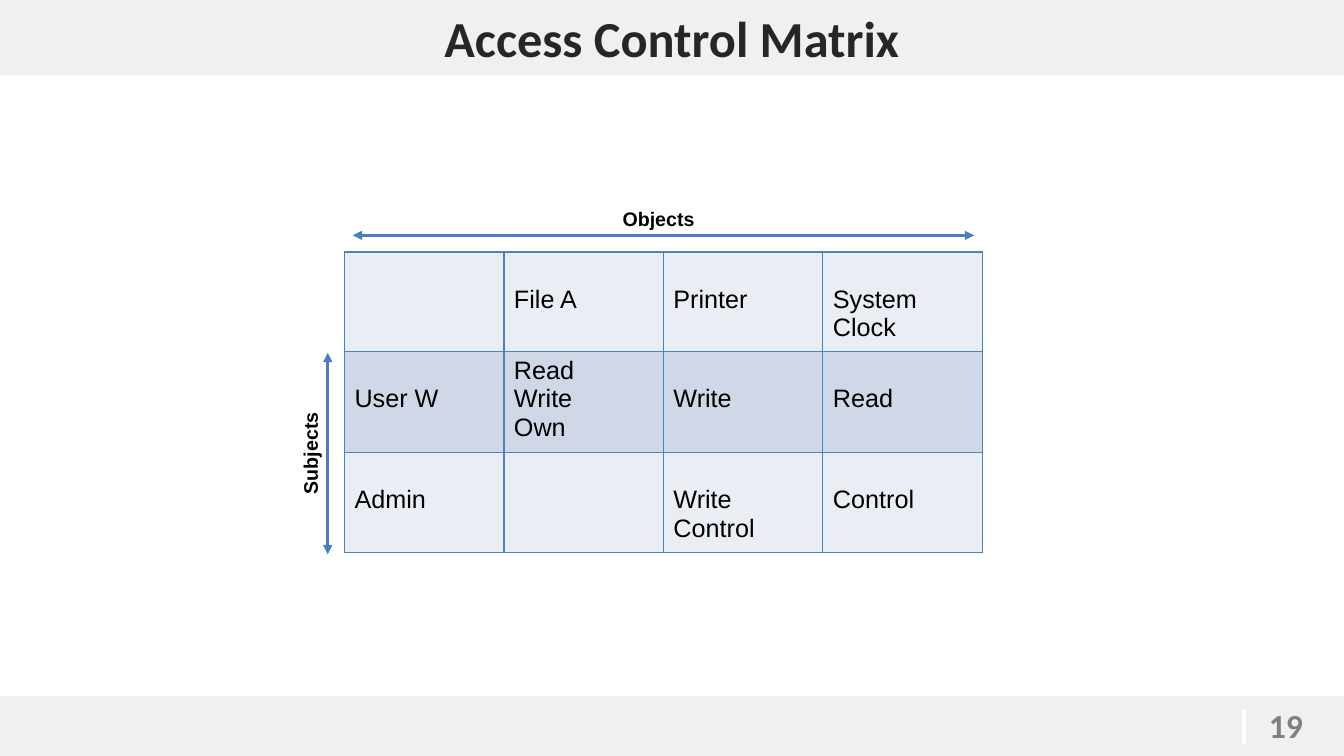
from lxml.etree import SubElement
from pptx import Presentation
from pptx.dml.color import RGBColor
from pptx.enum.shapes import MSO_CONNECTOR, MSO_SHAPE
from pptx.enum.text import MSO_ANCHOR, PP_ALIGN
from pptx.oxml.ns import qn
from pptx.util import Cm, Pt

# Content
TITLE = "Access Control Matrix"
PAGE_NUMBER = "19"
MATRIX = [
    ["", "File A", "Printer", "System Clock"],
    ["User W", "Read\nWrite\nOwn", "Write", "Read"],
    ["Admin", "", "Write Control", "Control"],
]
# Axis labels: text, left, top, width, rotation
AXIS_LABELS = [
    ("Objects", 15.44, 5.08, 2.54, 0),
    ("Subjects", 6.45, 10.9, 2.74, 270),
]
# Axis arrows: start x, start y, end x, end y
AXIS_ARROWS = [(8.89, 5.93, 24.55, 5.93), (8.26, 13.97, 8.26, 8.89)]

# Layout in centimetres
WIDTH, HEIGHT = 33.87, 19.05
TITLE_HEIGHT, FOOTER_HEIGHT = 1.9, 1.5
TABLE_LEFT, TABLE_TOP = 8.68, 6.35
COLUMN_WIDTH = 4.02
ROW_HEIGHTS = [2.51, 2.39, 2.51]
CELL_MARGIN, SECOND_LINE_MARGIN = 0.13, 0.84

BAND_GREY = RGBColor(0xF0, 0xF0, 0xF0)
TITLE_GREY = RGBColor(0x26, 0x26, 0x26)
NUMBER_GREY = RGBColor(0x80, 0x80, 0x80)
WHITE = RGBColor(0xFF, 0xFF, 0xFF)
BLACK = RGBColor(0, 0, 0)
ARROW_BLUE = RGBColor(0x4B, 0x7E, 0xBC)
ROW_FILLS = [RGBColor(0xE9, 0xED, 0xF4), RGBColor(0xD0, 0xD8, 0xE8)]
BORDER_BLUE = "4F81BD"


def set_font(paragraph, name, size, color, bold=False):
    font = paragraph.font
    font.name, font.size, font.bold = name, Pt(size), bold
    font.color.rgb = color


def add_label(slide, text, left, top, width, height, name, size, color):
    box = slide.shapes.add_textbox(Cm(left), Cm(top), Cm(width), Cm(height))
    box.text_frame.word_wrap = True
    paragraph = box.text_frame.paragraphs[0]
    paragraph.text = text
    set_font(paragraph, name, size, color, bold=True)
    return box


def add_line(slide, points, color, width, arrows=False):
    connector = slide.shapes.add_connector(
        MSO_CONNECTOR.STRAIGHT, *[Cm(value) for value in points])
    connector.line.color.rgb = color
    connector.line.width = Pt(width)
    if arrows:
        for end in ("a:headEnd", "a:tailEnd"):
            SubElement(connector.line._get_or_add_ln(), qn(end), type="triangle")
    SubElement(connector._element.spPr, qn("a:effectLst"))


def add_borders(cell):
    properties = cell._tc.get_or_add_tcPr()
    for index, side in enumerate(("a:lnL", "a:lnR", "a:lnT", "a:lnB")):
        border = properties.makeelement(qn(side), {"w": str(Pt(1))})
        fill = SubElement(border, qn("a:solidFill"))
        SubElement(fill, qn("a:srgbClr"), val=BORDER_BLUE)
        properties.insert(index, border)


def add_matrix(slide):
    columns = len(MATRIX[0])
    table = slide.shapes.add_table(
        len(MATRIX), columns, Cm(TABLE_LEFT), Cm(TABLE_TOP),
        Cm(columns * COLUMN_WIDTH), Cm(sum(ROW_HEIGHTS))).table
    table.first_row = table.horz_banding = False
    for column in table.columns:
        column.width = Cm(COLUMN_WIDTH)
    for row_index, entries in enumerate(MATRIX):
        table.rows[row_index].height = Cm(ROW_HEIGHTS[row_index])
        for column_index, text in enumerate(entries):
            cell = table.cell(row_index, column_index)
            cell.text = text
            # Short entries start on the second line of the row
            cell.margin_top = Cm(CELL_MARGIN if "\n" in text else SECOND_LINE_MARGIN)
            cell.margin_bottom = Cm(CELL_MARGIN)
            cell.fill.solid()
            cell.fill.fore_color.rgb = ROW_FILLS[row_index % 2]
            add_borders(cell)
            for paragraph in cell.text_frame.paragraphs:
                set_font(paragraph, "Arial", 18, BLACK)


def main():
    presentation = Presentation()
    presentation.slide_width, presentation.slide_height = Cm(WIDTH), Cm(HEIGHT)
    slide = presentation.slides.add_slide(presentation.slide_layouts[5])

    # Title band
    title = slide.shapes.title
    title.left, title.top = Cm(0), Cm(0)
    title.width, title.height = Cm(WIDTH), Cm(TITLE_HEIGHT)
    title.fill.solid()
    title.fill.fore_color.rgb = BAND_GREY
    title.text_frame.text = TITLE
    title.text_frame.vertical_anchor = MSO_ANCHOR.MIDDLE
    heading = title.text_frame.paragraphs[0]
    heading.alignment = PP_ALIGN.CENTER
    set_font(heading, "Calibri", 36, TITLE_GREY, bold=True)

    # Footer band with page number
    footer = slide.shapes.add_shape(
        MSO_SHAPE.RECTANGLE, Cm(0), Cm(HEIGHT - FOOTER_HEIGHT),
        Cm(WIDTH), Cm(FOOTER_HEIGHT))
    footer.shadow.inherit = False
    footer.fill.solid()
    footer.fill.fore_color.rgb = BAND_GREY
    footer.line.fill.background()
    add_label(slide, PAGE_NUMBER, 31.73, 17.65, 2.1, 1.27, "Calibri", 24, NUMBER_GREY)
    add_line(slide, (31.34, 17.86, 31.34, 18.75), WHITE, 3)

    # Matrix with its two axes
    add_matrix(slide)
    for points in AXIS_ARROWS:
        add_line(slide, points, ARROW_BLUE, 2.25, arrows=True)
    for text, left, top, width, rotation in AXIS_LABELS:
        label = add_label(slide, text, left, top, width, 0.86, "Arial", 14, BLACK)
        label.rotation = rotation

    presentation.save("out.pptx")


if __name__ == "__main__":
    main()
